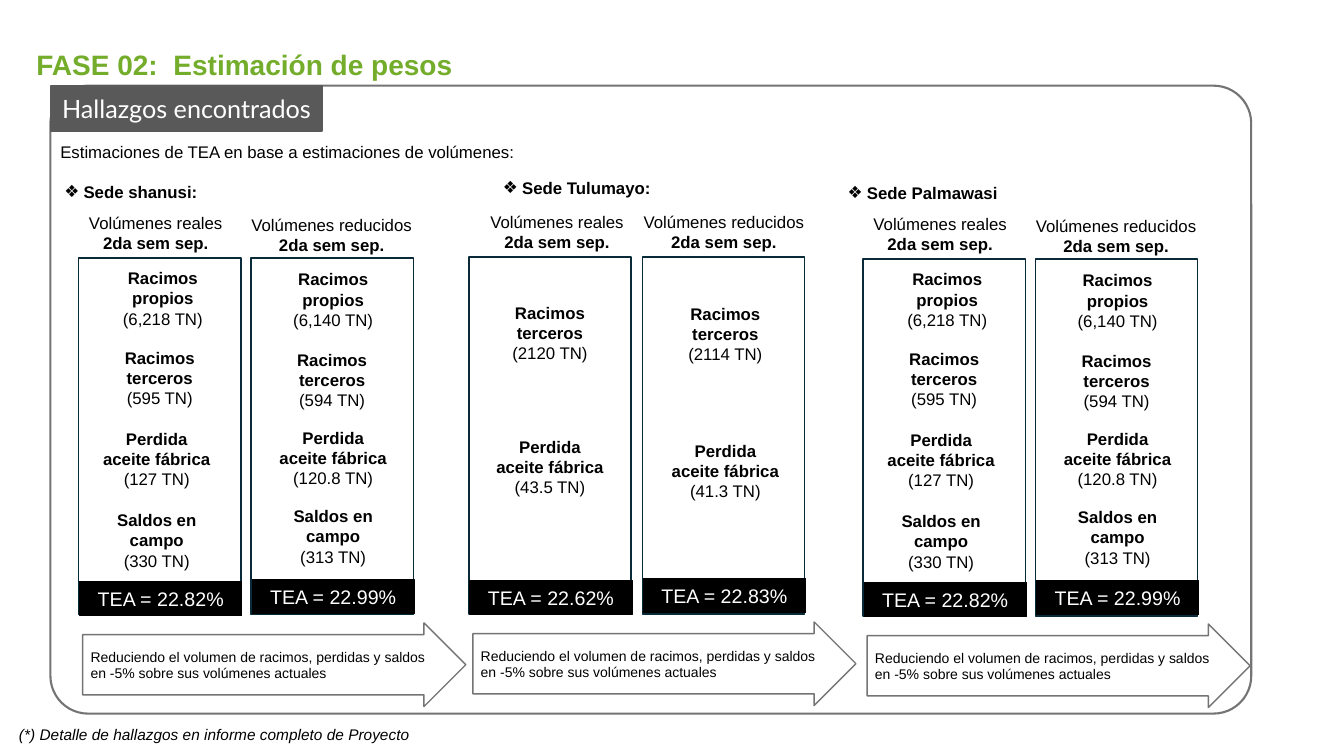
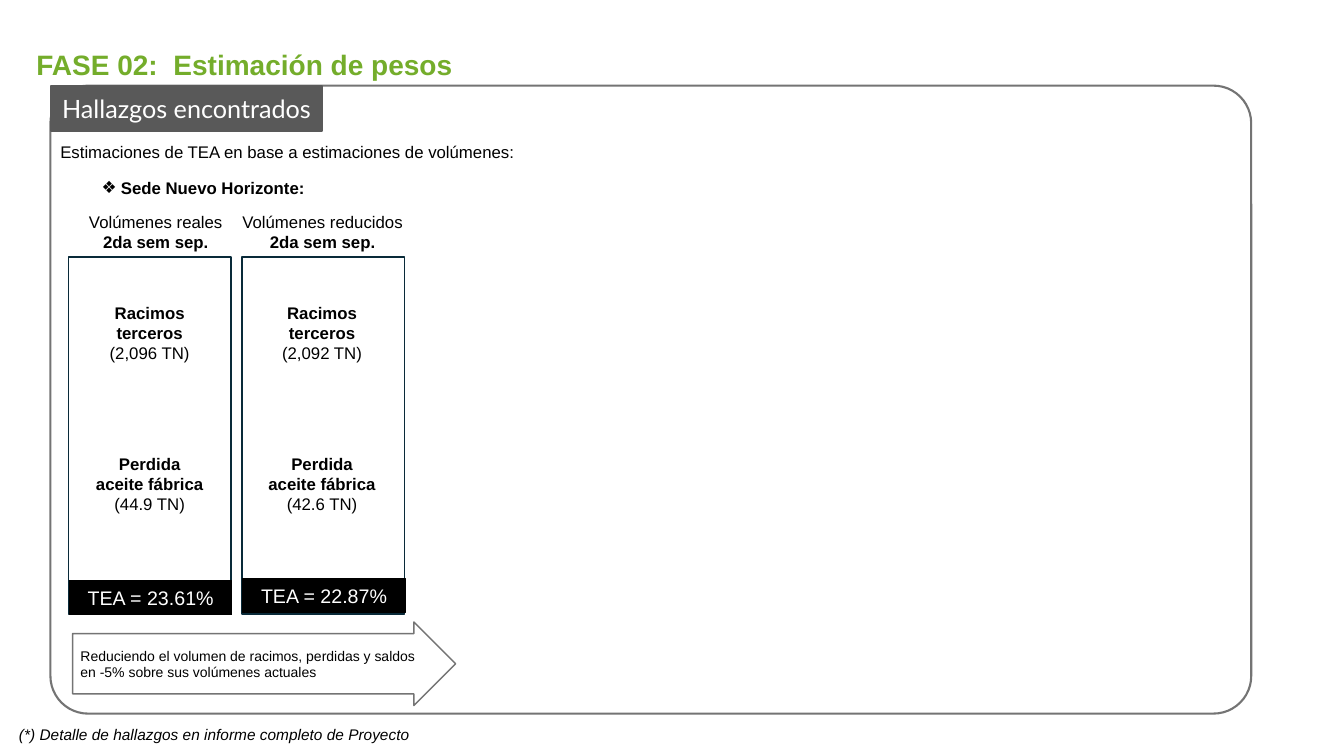
from lxml import etree
from pptx import Presentation
from pptx.dml.color import RGBColor
from pptx.enum.shapes import MSO_SHAPE as SHAPE
from pptx.enum.text import MSO_ANCHOR as ANCHOR, MSO_AUTO_SIZE as AUTO, PP_ALIGN as ALIGN
from pptx.oxml.ns import qn
from pptx.util import Pt

PX = 9144  # 100 px to the inch
COLORS = {"green": "74AD2B", "gray": "747474", "dark": "595959",
          "navy": "092A39", "black": "000000", "white": "FFFFFF"}

# Item layouts: for each of the two columns, (label, width, dx, dy) from the column corner
OWN, THIRD = "Racimos propios", "Racimos terceros"
LOSS, FIELD = "Perdida aceite fábrica", "Saldos en campo"
FULL = [
    [(OWN, 145, 11, 5), (THIRD, 127, 17, 84), (LOSS, 127, 14, 164), (FIELD, 127, 14, 245)],
    [(OWN, 145, 9, 6), (THIRD, 127, 17, 86), (LOSS, 127, 18, 163), (FIELD, 127, 18, 241)],
]
HALF = [
    [(THIRD, 127, 17, 40), (LOSS, 127, 17, 173)],
    [(THIRD, 127, 19, 41), (LOSS, 127, 19, 177)],
]
HALF_LOW = [[(THIRD, 127, 17, 40), (LOSS, 127, 17, 190)],
            [(THIRD, 127, 16, 40), (LOSS, 127, 16, 190)]]

FULL_VALUES = [["6,218", "595", "127", "330"], ["6,140", "594", "120.8", "313"]]
FULL_TEA = ["22.82%", "22.99%"]

# Sites: name, name box (left, top, width), column corner, column step,
# heading offsets (dx, dy) per column, item layout, values, TEA
SLIDES = [
    [
        ("Sede shanusi:", (54, 175, 161), (78, 256), 171,
         [(-8, -50), (-14, -48)], FULL, FULL_VALUES, FULL_TEA),
        ("Sede Tulumayo:", (489, 171, 197), (465, 255), 172,
         [(3, -50), (-13, -50)], HALF,
         [["2120", "43.5"], ["2114", "41.3"]], ["22.62%", "22.83%"]),
        ("Sede Palmawasi", (831, 176, 186), (856, 257), 171,
         [(-8, -50), (-14, -48)], FULL, FULL_VALUES, FULL_TEA),
    ],
    [
        ("Sede Nuevo Horizonte:", (91, 171, 228), (68, 255), 172,
         [(2, -50), (-14, -50)], HALF_LOW,
         [["2,096", "44.9"], ["2,092", "42.6"]], ["23.61%", "22.87%"]),
    ],
]
HEADINGS = [("Volúmenes reales", 169), ("Volúmenes reducidos", 188)]


def add_box(shapes, kind, x, y, w, h, line, weight, fill=None):
    sp = shapes.add_shape(kind, x * PX, y * PX, w * PX, h * PX)
    sp.shadow.inherit = False
    if fill:
        sp.fill.solid()
        sp.fill.fore_color.rgb = RGBColor.from_string(COLORS[fill])
    else:
        sp.fill.background()
    sp.line.color.rgb = RGBColor.from_string(COLORS[line])
    sp.line.width = Pt(weight)
    return sp


def write(sp, lines, size=12, color="black", align=ALIGN.LEFT, font="Arial",
          anchor=ANCHOR.TOP, italic=False):
    """Fill a shape with (text, bold) lines, one paragraph each."""
    tf = sp.text_frame
    tf.word_wrap = True
    tf.auto_size = AUTO.NONE
    tf.vertical_anchor = anchor
    tf.text = "\n".join(text for text, _ in lines)
    for p, (_, bold) in zip(tf.paragraphs, lines):
        p.alignment = align
        for r in p.runs:
            r.font.name = font
            r.font.size = Pt(size)
            r.font.bold = bold
            r.font.italic = italic
            r.font.color.rgb = RGBColor.from_string(COLORS[color])
    return sp


prs = Presentation()
prs.slide_width, prs.slide_height = 1333 * PX, 750 * PX

for sites in SLIDES:
    s = prs.slides.add_slide(prs.slide_layouts[5])
    shapes = s.shapes

    # Title
    title = shapes.title
    title.left, title.top, title.width, title.height = 26 * PX, 42 * PX, 1096 * PX, 44 * PX
    write(title, [("FASE 02:  Estimación de pesos", True)], 20, "green")

    # Frame, tab, introduction and footnote
    frame = add_box(shapes, SHAPE.ROUNDED_RECTANGLE, 50, 85, 1191, 623, "gray", 1.5)
    frame.adjustments[0] = 0.06
    intro = shapes.add_textbox(50 * PX, 136 * PX, 1183 * PX, 30 * PX)
    write(intro, [("Estimaciones de TEA en base a estimaciones de volúmenes:", False)])
    tab = add_box(shapes, SHAPE.RECTANGLE, 51, 85, 268, 45, "dark", 1.5, "dark")
    write(tab, [("Hallazgos encontrados", False)], 18, "white", ALIGN.CENTER, "Lato",
          ANCHOR.MIDDLE)
    note = shapes.add_textbox(9 * PX, 714 * PX, 837 * PX, 29 * PX)
    write(note, [("(*) Detalle de hallazgos en informe completo de Proyecto", False)],
          11, italic=True)

    for name, (nx, ny, nw), (x, y), step, offsets, layout, values, teas in sites:
        # Site name with a diamond bullet
        site = shapes.add_textbox(nx * PX, ny * PX, nw * PX, 30 * PX)
        write(site, [(name, True)])
        pPr = site.text_frame.paragraphs[0]._p.get_or_add_pPr()
        pPr.set("marL", str(19 * PX))
        pPr.set("indent", str(-19 * PX))
        etree.SubElement(pPr, qn("a:buFont")).set("typeface", "Arial")
        etree.SubElement(pPr, qn("a:buChar")).set("char", "❖")

        # Two columns: heading, outline, items and TEA bar
        for i, (heading, hw) in enumerate(HEADINGS):
            cx = x + i * step
            dx, dy = offsets[i]
            head = shapes.add_textbox((cx + dx) * PX, (y + dy) * PX, hw * PX, 50 * PX)
            write(head, [(heading, False), ("2da sem sep.", True)], align=ALIGN.CENTER)
            add_box(shapes, SHAPE.RECTANGLE, cx, y, 161, 354, "navy", 1)
            for (label, w, dx, dy), value in zip(layout[i], values[i]):
                item = shapes.add_textbox((cx + dx) * PX, (y + dy) * PX, w * PX, 71 * PX)
                write(item, [(label, True), (f"({value} TN)", False)], align=ALIGN.CENTER)
            bar = add_box(shapes, SHAPE.RECTANGLE, cx + 1, y + 321 - 2 * i, 161, 34,
                          "black", 0.75, "black")
            write(bar, [(f"TEA = {teas[i]}", False)], 14, "white", ALIGN.CENTER)

        # Arrow with its conclusion
        group = shapes.add_group_shape().shapes
        result = group.add_textbox((x + 2) * PX, (y + 382) * PX, 380 * PX, 44 * PX)
        write(result, [("Reduciendo el volumen de racimos, perdidas y saldos", False),
                       ("en -5% sobre sus volúmenes actuales", False)], 10)
        arrow = add_box(group, SHAPE.RIGHT_ARROW, x + 4, y + 362, 380, 83, "gray", 1)
        arrow.adjustments[0] = 0.72

prs.save("out.pptx")
